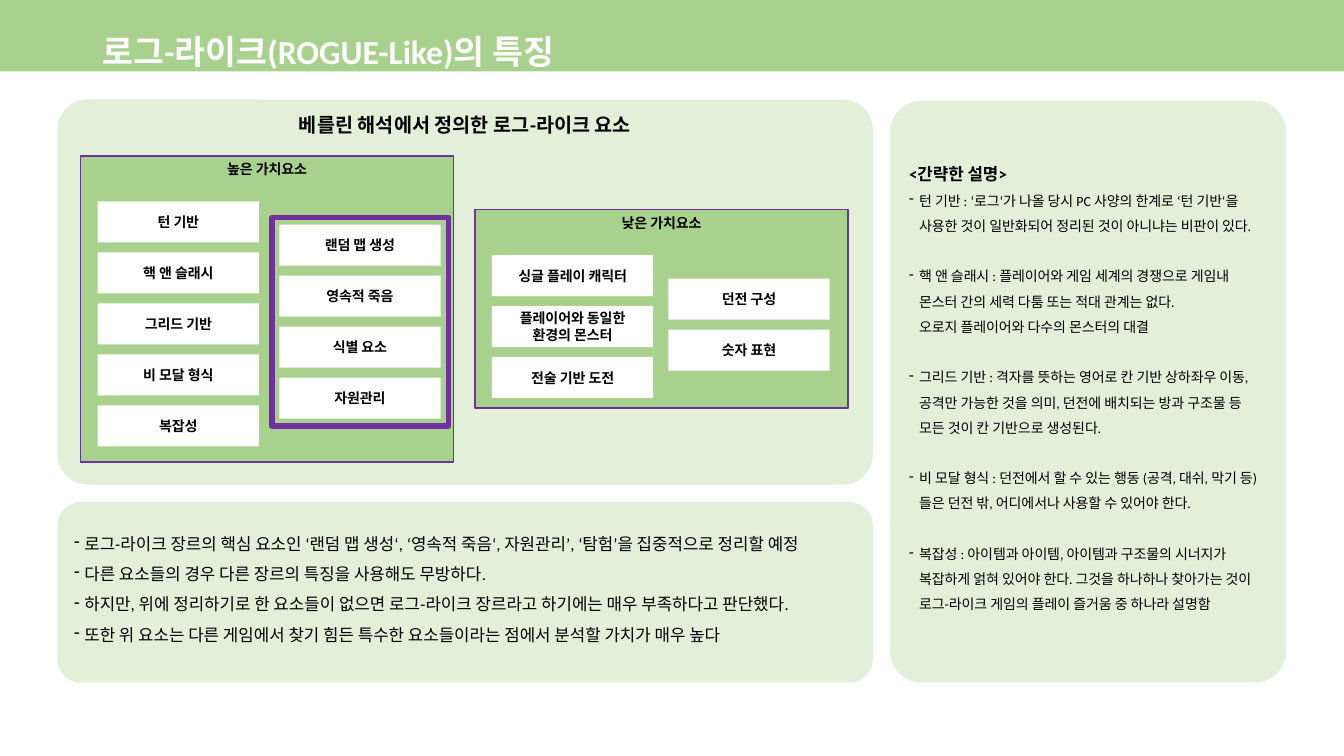
from lxml import etree
from pptx import Presentation
from pptx.dml.color import RGBColor
from pptx.enum.lang import MSO_LANGUAGE_ID
from pptx.enum.shapes import MSO_SHAPE
from pptx.enum.text import MSO_ANCHOR, PP_ALIGN
from pptx.oxml.ns import qn
from pptx.util import Pt

RECT, ROUNDED = MSO_SHAPE.RECTANGLE, MSO_SHAPE.ROUNDED_RECTANGLE
TOP, MIDDLE = MSO_ANCHOR.TOP, MSO_ANCHOR.MIDDLE
LEFT, CENTER = PP_ALIGN.LEFT, PP_ALIGN.CENTER
KOREAN = MSO_LANGUAGE_ID.KOREAN

FONT = "Calibri"
GREEN, PALE, PURPLE = "A9D18E", "E2F0D9", "7030A0"
BLACK, WHITE = "000000", "FFFFFF"
CARD_WIDTH, CARD_HEIGHT, CARD_PITCH = 115.2, 29.3, 36.4
HANGING = 7.2


def color(value):
    return RGBColor.from_string(value)


class SlideBuilder:
    def __init__(self, page):
        self.page = page

    def shape(self, left, top, width, height, fill=None, line=None, weight=1,
              kind=RECT, corner=None):
        box = self.page.shapes.add_shape(kind, Pt(left), Pt(top), Pt(width), Pt(height))
        box.shadow.inherit = False
        if corner is not None:
            box.adjustments[0] = corner
        if fill:
            box.fill.solid()
            box.fill.fore_color.rgb = color(fill)
        else:
            box.fill.background()
        if line:
            box.line.color.rgb = color(line)
            box.line.width = Pt(weight)
        else:
            box.line.fill.background()
        return box

    def panel(self, left, top, width, height, corner):
        return self.shape(left, top, width, height, PALE, kind=ROUNDED, corner=corner)

    def frame_text(self, box, anchor, extra_bottom=0):
        frame = box.text_frame
        frame.word_wrap = True
        frame.vertical_anchor = anchor
        frame.margin_bottom = Pt(3.6 + extra_bottom)
        return frame

    def style(self, para, size, bold=False, tone=BLACK, align=LEFT, spacing=None):
        para.alignment = align
        if spacing:
            para.line_spacing = spacing
        for span in para.runs:
            font = span.font
            font.name, font.size, font.bold = FONT, Pt(size), bold
            font.color.rgb = color(tone)
            font.language_id = KOREAN
            etree.SubElement(font._element, qn("a:ea"), typeface=FONT)
        for line_break in para._p.findall(qn("a:br")):
            etree.SubElement(line_break, qn("a:rPr"), sz=str(size * 100))

    def label(self, box, text, size, anchor=TOP):
        frame = self.frame_text(box, anchor)
        frame.text = text
        self.style(frame.paragraphs[0], size, True, align=CENTER)

    def title(self, left, top, width, height, text):
        box = self.page.shapes.add_textbox(Pt(left), Pt(top), Pt(width), Pt(height))
        frame = self.frame_text(box, MIDDLE)
        frame.text = text
        self.style(frame.paragraphs[0], 24, True, WHITE, spacing=1.5)

    def cards(self, left, top, names):
        for row, name in enumerate(names):
            card = self.shape(left, top + row * CARD_PITCH, CARD_WIDTH, CARD_HEIGHT, WHITE)
            self.label(card, name, 10, MIDDLE)

    def group(self, left, top, width, height, heading, columns):
        area = self.shape(left, top, width, height, GREEN, PURPLE)
        self.label(area, heading, 10)
        for column in columns:
            self.cards(*column)

    def bullets(self, box, items, size, gap=0, heading=None):
        frame = self.frame_text(box, MIDDLE, extra_bottom=12)
        para = frame.paragraphs[0]
        if heading:
            para.text = heading
            self.style(para, 12, True, spacing=1.5)
            para = frame.add_paragraph()
        for index, item in enumerate(items):
            if index:
                para = frame.add_paragraph()
                para.space_before = Pt(gap)
            para.text = item
            self.style(para, size, spacing=1.5)
            properties = para._p.get_or_add_pPr()
            properties.set("marL", str(Pt(HANGING)))
            properties.set("indent", str(-Pt(HANGING)))
            etree.SubElement(properties, qn("a:buChar"), char="-")


def main():
    deck = Presentation()
    deck.slide_width, deck.slide_height = Pt(960), Pt(540)
    builder = SlideBuilder(deck.slides.add_slide(deck.slide_layouts[6]))

    # Header
    builder.shape(0, 0, 960, 51, GREEN)
    overview = builder.panel(41, 71.1, 582.5, 275, 0.078)
    builder.label(overview, "베를린 해석에서 정의한 로그-라이크 요소", 14)
    builder.title(66.2, 10.8, 828, 37.4, "로그-라이크(ROGUE-Like)의 특징")

    # Low and high value elements
    builder.group(339.2, 149.8, 266.6, 141.8, "낮은 가치요소", [
        (351.4, 182.2, ["싱글 플레이 캐릭터", "플레이어와 동일한 환경의 몬스터", "전술 기반 도전"]),
        (477.5, 199, ["던전 구성", "숫자 표현"]),
    ])
    builder.group(57.6, 111.4, 266.4, 218.7, "높은 가치요소", [
        (69.8, 143.9, ["턴 기반", "핵 앤 슬래시", "그리드 기반", "비 모달 형식", "복잡성"]),
        (199.5, 160.5, ["랜덤 맵 생성", "영속적 죽음", "식별 요소", "자원관리"]),
    ])
    builder.shape(194.4, 155.4, 126, 149, line=PURPLE, weight=4)

    # Short explanations
    explanations = builder.panel(635.8, 72, 282.8, 415.4, 0.078)
    builder.bullets(explanations, [
        "턴 기반 : ‘로그‘가 나올 당시 PC 사양의 한계로 ‘턴 기반‘을 사용한 것이 일반화되어 "
        "정리된 것이 아니냐는 비판이 있다.",
        "핵 앤 슬래시 : 플레이어와 게임 세계의 경쟁으로 게임내 몬스터 간의 세력 다툼 또는 "
        "적대 관계는 없다.\n오로지 플레이어와 다수의 몬스터의 대결",
        "그리드 기반 : 격자를 뜻하는 영어로 칸 기반 상하좌우 이동, 공격만 가능한 것을 의미, "
        "던전에 배치되는 방과 구조물 등 모든 것이 칸 기반으로 생성된다.",
        "비 모달 형식 : 던전에서 할 수 있는 행동 (공격, 대쉬, 막기 등) 들은 던전 밖, "
        "어디에서나 사용할 수 있어야 한다.",
        "복잡성 : 아이템과 아이템, 아이템과 구조물의 시너지가 복잡하게 얽혀 있어야 한다. "
        "그것을 하나하나 찾아가는 것이 로그-라이크 게임의 플레이 즐거움 중 하나라 설명함",
    ], 10, gap=18, heading="<간략한 설명>")

    # Conclusions
    conclusions = builder.panel(41, 358.6, 582.5, 129, 0.132)
    builder.bullets(conclusions, [
        "로그-라이크 장르의 핵심 요소인 ‘랜덤 맵 생성‘, ‘영속적 죽음‘, 자원관리’, ‘탐험’을 "
        "집중적으로 정리할 예정",
        "다른 요소들의 경우 다른 장르의 특징을 사용해도 무방하다.",
        "하지만, 위에 정리하기로 한 요소들이 없으면 로그-라이크 장르라고 하기에는 매우 "
        "부족하다고 판단했다.",
        "또한 위 요소는 다른 게임에서 찾기 힘든 특수한 요소들이라는 점에서 분석할 가치가 매우 높다",
    ], 12)

    deck.save("out.pptx")


if __name__ == "__main__":
    main()
